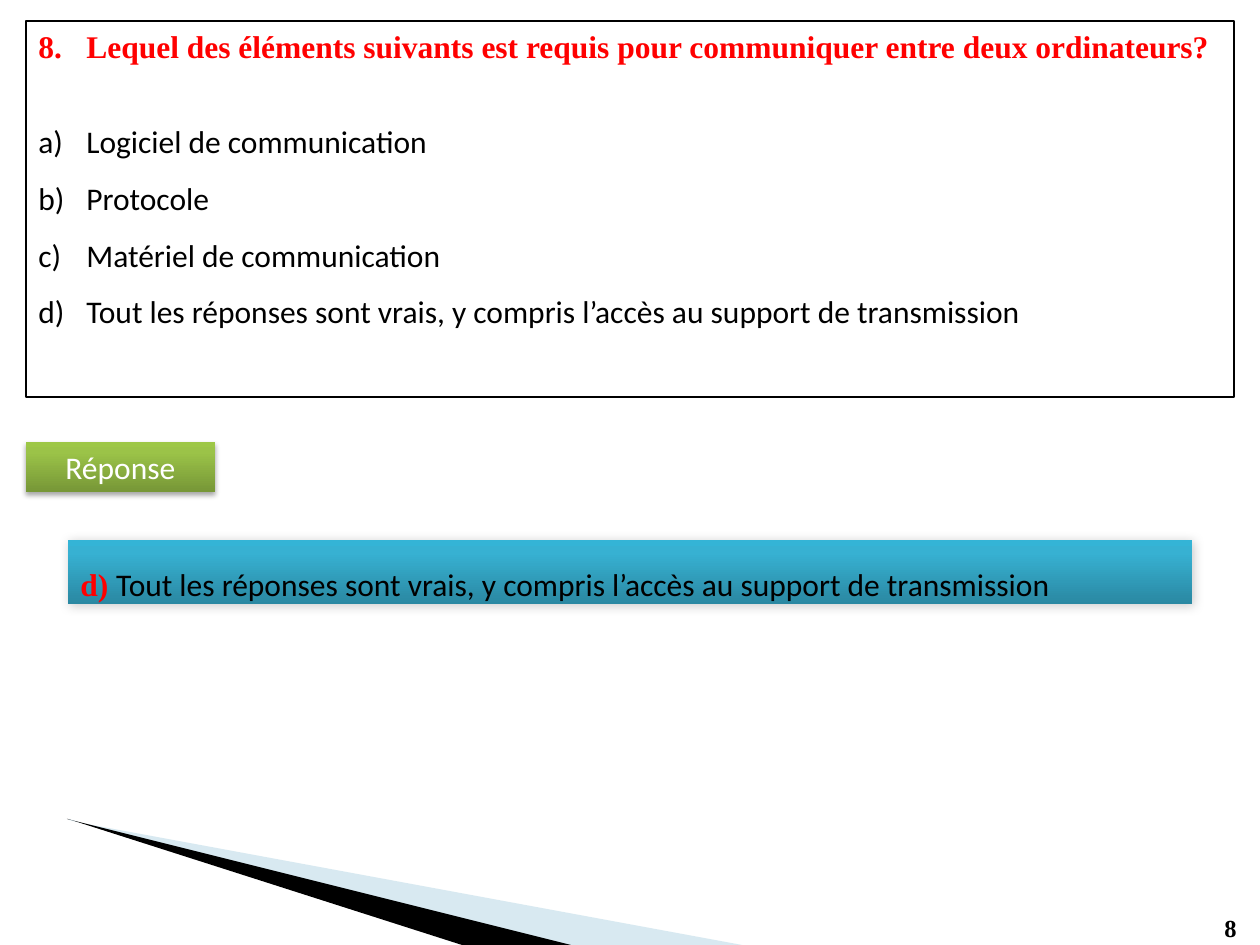
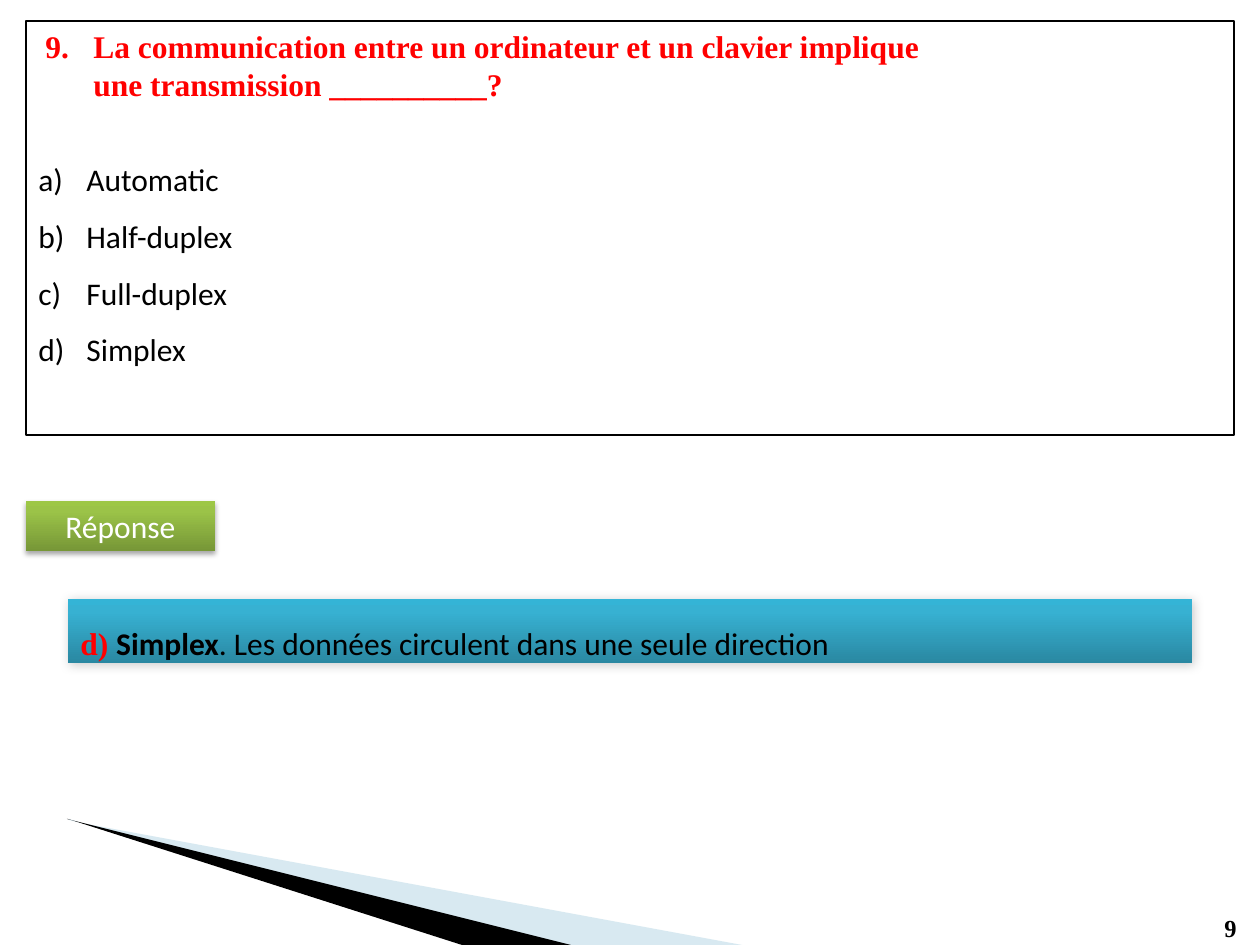
from collections import namedtuple
from dataclasses import dataclass

from lxml import etree
from pptx import Presentation
from pptx.dml.color import RGBColor
from pptx.enum.shapes import MSO_SHAPE as Preset
from pptx.enum.text import MSO_ANCHOR as Anchor, PP_ALIGN as Align
from pptx.oxml.ns import qn
from pptx.util import Emu, Pt

SCALE = 914400 / 126
Box = namedtuple("Box", "left top width height")
Gradient = namedtuple("Gradient", "stops")
Shadow = namedtuple("Shadow", "opacity blur distance angle")
Quiz = namedtuple("Quiz", "number question indent options answer box reply_top")


@dataclass(frozen=True)
class Theme:
    serif: str = "Times New Roman"
    sans: str = "Calibri"
    body_size: int = 18
    number_size: int = 14
    ink: str = "000000"
    accent: str = "FF0000"
    white: str = "FFFFFF"
    pale: str = "9FCADC"
    pale_opacity: int = 40
    green: Gradient = Gradient(((0, "779737"), (80, "9BC348"), (100, "9DC746")))
    blue: Gradient = Gradient(((0, "2A88A2"), (80, "37B1D2"), (100, "34B4D6")))
    label_shadow: Shadow = Shadow(35, 3.1, 1.8, 90)
    answer_shadow: Shadow = Shadow(20, 6, 1, 45)
    hanging: int = 48


THEME = Theme()
PAGE = Box(0, 0, 1260, 945)

QUIZZES = (
    Quiz(
        8,
        "Lequel des éléments suivants est requis pour communiquer entre deux ordinateurs?",
        48,
        (
            "Logiciel de communication",
            "Protocole",
            "Matériel de communication",
            "Tout les réponses sont vrais, y compris l’accès au support de transmission",
        ),
        (("Tout les réponses sont vrais, y compris l’accès au support de transmission", False),),
        Box(26, 21, 1208, 376),
        442,
    ),
    Quiz(
        9,
        "La communication entre un ordinateur et un clavier implique\v"
        "une transmission __________?",
        55,
        ("Automatic", "Half-duplex", "Full-duplex", "Simplex"),
        (("Simplex", True), (". Les données circulent dans une seule direction", False)),
        Box(26, 21, 1208, 414),
        501,
    ),
)


def px(length):
    return Emu(round(length * SCALE))


def rgb(color):
    return RGBColor.from_string(color)


def sub(parent, tag, **attributes):
    values = {name: str(value) for name, value in attributes.items()}
    return etree.SubElement(parent, qn(tag), values)


def style(run, font, color, bold=False, size=THEME.body_size):
    run.font.name = font
    run.font.size = Pt(size)
    run.font.bold = bold
    run.font.color.rgb = rgb(color)


def number_list(paragraph, scheme, indent, start=1):
    """Give the paragraph an automatic number with a hanging indent."""
    properties = paragraph._p.get_or_add_pPr()
    properties.set("marL", str(px(indent)))
    properties.set("indent", str(-px(THEME.hanging)))
    sub(properties, "a:buFontTx")
    sub(properties, "a:buAutoNum", type=scheme, startAt=start)


def add_panel(slide, box):
    """Add a plain rectangle whose text starts at its top left."""
    panel = slide.shapes.add_shape(Preset.RECTANGLE, *map(px, box))
    panel.shadow.inherit = False
    panel.fill.background()
    panel.line.fill.background()
    panel.text_frame.word_wrap = True
    panel.text_frame.vertical_anchor = Anchor.TOP
    panel.text_frame.paragraphs[0].alignment = Align.LEFT
    return panel


def add_glossy_panel(slide, box, gradient, shadow):
    """Add a panel with an upward gradient and a soft shadow."""
    panel = add_panel(slide, box)
    panel.fill.gradient()
    properties = panel._element.spPr
    fill = properties.find(qn("a:gradFill"))
    fill.clear()
    stops = sub(fill, "a:gsLst")
    for position, color in gradient.stops:
        sub(sub(stops, "a:gs", pos=position * 1000), "a:srgbClr", val=color)
    sub(fill, "a:lin", ang=270 * 60000, scaled=0)

    cast = sub(
        properties.find(qn("a:effectLst")), "a:outerShdw",
        blurRad=Pt(shadow.blur), dist=Pt(shadow.distance),
        dir=shadow.angle * 60000, algn="ctr", rotWithShape=0,
    )
    tint = sub(cast, "a:srgbClr", val=THEME.ink)
    sub(tint, "a:alpha", val=shadow.opacity * 1000)
    return panel


def add_wedge(slide, contours, color, opacity=100):
    (start, *points), *others = contours
    builder = slide.shapes.build_freeform(*start, scale=SCALE)
    builder.add_line_segments(points)
    for first, *rest in others:
        builder.move_to(*first)
        builder.add_line_segments(rest)
    wedge = builder.convert_to_shape()
    wedge.shadow.inherit = False
    wedge.line.fill.background()
    wedge.fill.solid()
    wedge.fill.fore_color.rgb = rgb(color)
    if opacity < 100:
        tint = wedge._element.spPr.find(qn("a:solidFill"))[0]
        sub(tint, "a:alpha", val=opacity * 1000)


def add_corner(slide, page):
    """Draw the two wedges that run off the bottom edge of the page."""
    def place(*points):
        return [(page.left + x, page.top + page.height - rise) for x, rise in points]

    pale_band = place((81, 122), (568, 0), (742, 0))
    pale_tip = place((69, 126), (69, 125), (81, 122))
    dark_band = place((67, 126), (68, 126), (462, 0), (571, 0))
    add_wedge(slide, (pale_band, pale_tip), THEME.pale, THEME.pale_opacity)
    add_wedge(slide, (dark_band,), THEME.ink)


def add_page_number(slide, page, number):
    box = Box(page.left + page.width - 48, page.top + page.height - 38, 45, 43)
    footer = slide.shapes.add_textbox(*map(px, box))
    footer.text_frame.word_wrap = True
    footer.text_frame.text = str(number)
    style(footer.text_frame.paragraphs[0].runs[0], THEME.serif, THEME.ink, True,
          THEME.number_size)


def add_question(slide, box, quiz):
    panel = add_panel(slide, box)
    panel.line.color.rgb = rgb(THEME.ink)
    panel.line.width = Pt(0.75)
    frame = panel.text_frame
    question = frame.paragraphs[0]
    question.text = quiz.question
    question.space_after = Pt(22)
    number_list(question, "arabicPeriod", quiz.indent, quiz.number)
    for run in question.runs:
        style(run, THEME.serif, THEME.accent, True)

    for choice in quiz.options:
        option = frame.add_paragraph()
        option.text = choice
        option.alignment = Align.LEFT
        option.line_spacing = 1.5
        number_list(option, "alphaLcParenR", THEME.hanging)
        style(option.runs[0], THEME.sans, THEME.ink)


def add_reply(slide, box, answer):
    """Place the label at the top left of the box and the answer below it."""
    label_box = Box(box.left, box.top, 189, 50)
    label = add_glossy_panel(slide, label_box, THEME.green, THEME.label_shadow)
    label.text_frame.text = "Réponse"
    heading = label.text_frame.paragraphs[0]
    heading.alignment = Align.CENTER
    style(heading.runs[0], THEME.sans, THEME.white)

    inset = 42
    answer_box = Box(box.left + inset, box.top + 98, box.width - 2 * inset, 64)
    bar = add_glossy_panel(slide, answer_box, THEME.blue, THEME.answer_shadow)
    sentence = bar.text_frame.paragraphs[0]
    sentence.text = "d) "
    sentence.line_spacing = 1.5
    style(sentence.runs[0], THEME.serif, THEME.accent, True)
    for words, bold in answer:
        run = sentence.add_run()
        run.text = words
        style(run, THEME.sans, THEME.ink, bold)


def add_quiz_slide(deck, quiz):
    slide = deck.slides.add_slide(deck.slide_layouts[6])
    add_corner(slide, PAGE)
    add_page_number(slide, PAGE, quiz.number)
    add_question(slide, quiz.box, quiz)
    add_reply(slide, Box(quiz.box.left, quiz.reply_top, quiz.box.width, 162), quiz.answer)


def main():
    deck = Presentation()
    deck.slide_width = px(PAGE.width)
    deck.slide_height = px(PAGE.height)
    for quiz in QUIZZES:
        add_quiz_slide(deck, quiz)
    deck.save("out.pptx")


if __name__ == "__main__":
    main()
